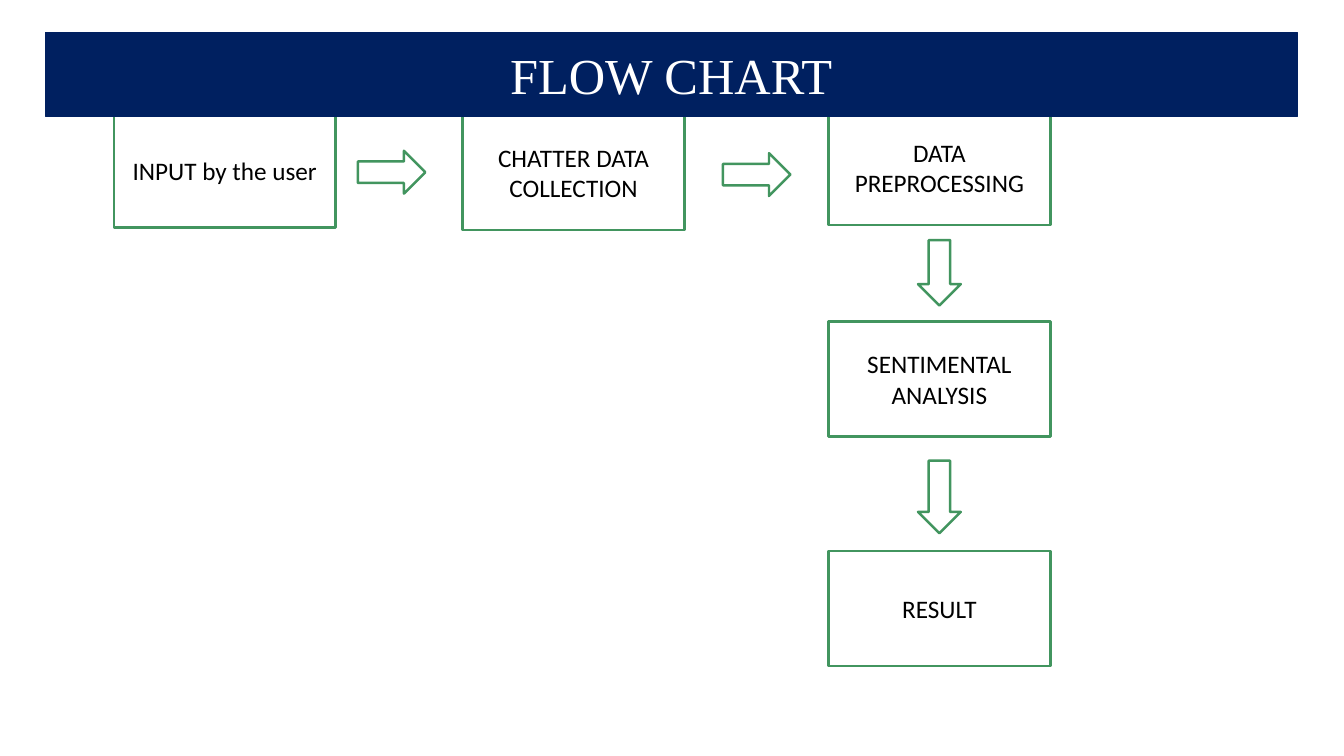
"""Build the flow chart slide."""
from collections import namedtuple

from pptx import Presentation
from pptx import util as u
from pptx.dml.color import RGBColor
from pptx.enum import shapes, text

NAVY = RGBColor(0x00, 0x20, 0x60)
GREEN = RGBColor(0x42, 0x95, 0x5F)
WHITE = RGBColor(0xFF, 0xFF, 0xFF)
BLACK = RGBColor(0x00, 0x00, 0x00)

Box = namedtuple("Box", "left top width height")
Step = namedtuple("Step", "label left top direction gap length")

STEP_WIDTH, STEP_HEIGHT = 5.59, 2.9
ARROW_THICKNESS = 1.08
STEPS = [
    Step("INPUT by the user", 0, 0.07, "right", 0.56, 1.7),
    Step("CHATTER DATA COLLECTION", 8.79, 0.13, "right", 0.97, 1.7),
    Step("DATA PREPROCESSING", 18.01, 0, "down", 0.38, 1.65),
    Step("SENTIMENTAL ANALYSIS", 18.01, 5.33, "down", 0.61, 1.83),
    Step("RESULT", 18.01, 11.12, None, 0, 0),
]


def paint(shape, fill, line, weight):
    """Give a shape its solid fill and outline."""
    shape.fill.solid()
    shape.fill.fore_color.rgb = fill
    shape.line.color.rgb = line
    shape.line.width = u.Pt(weight)


def write(shape, words, font, size, color):
    """Put one centred paragraph in a shape."""
    frame = shape.text_frame
    frame.text = words
    frame.word_wrap = True
    frame.vertical_anchor = text.MSO_ANCHOR.MIDDLE
    para = frame.paragraphs[0]
    para.alignment = text.PP_ALIGN.CENTER
    para.font.name = font
    para.font.size = u.Pt(size)
    para.font.color.rgb = color


def add_outline(page, kind, box):
    """Add a white shape with a green outline."""
    shape = page.shapes.add_shape(kind, *map(u.Cm, box))
    shape.shadow.inherit = False
    paint(shape, WHITE, GREEN, 1.75)
    return shape


def add_arrow(page, step, box):
    """Add the arrow that leaves a step's box, centred on its side."""
    if step.direction == "right":
        kind = shapes.MSO_SHAPE.RIGHT_ARROW
        place = Box(box.left + box.width + step.gap,
                    box.top + (box.height - ARROW_THICKNESS) / 2 + 0.05,
                    step.length, ARROW_THICKNESS)
    else:
        kind = shapes.MSO_SHAPE.DOWN_ARROW
        place = Box(box.left + (box.width - ARROW_THICKNESS) / 2,
                    box.top + box.height + step.gap,
                    ARROW_THICKNESS, step.length)
    add_outline(page, kind, place)


def add_flow(page, area):
    """Place the steps and their arrows from the area's top left corner."""
    for step in STEPS:
        box = Box(area.left + step.left, area.top + step.top, STEP_WIDTH, STEP_HEIGHT)
        shape = add_outline(page, shapes.MSO_SHAPE.RECTANGLE, box)
        write(shape, step.label, "Calibri", 18, BLACK)
        if step.direction:
            add_arrow(page, step, box)


def set_title(page, box):
    """Turn the title placeholder into the navy banner, in front of the flow."""
    title = page.shapes.title
    title.left, title.top, title.width, title.height = map(u.Cm, box)
    paint(title, NAVY, NAVY, 0.75)
    write(title, "FLOW CHART", "Times New Roman", 36, WHITE)
    title.text_frame.auto_size = text.MSO_AUTO_SIZE.SHAPE_TO_FIT_TEXT
    title.element.getparent().append(title.element)


def main():
    """Build and save the deck."""
    deck = Presentation()
    deck.slide_width, deck.slide_height = u.Cm(33.87), u.Cm(19.05)
    page = deck.slides.add_slide(deck.slide_layouts.get_by_name("Title Only"))
    add_flow(page, Box(2.87, 2.77, 23.6, 14.02))
    set_title(page, Box(1.14, 0.97, 31.55, 1.8))
    deck.save("out.pptx")


main()
